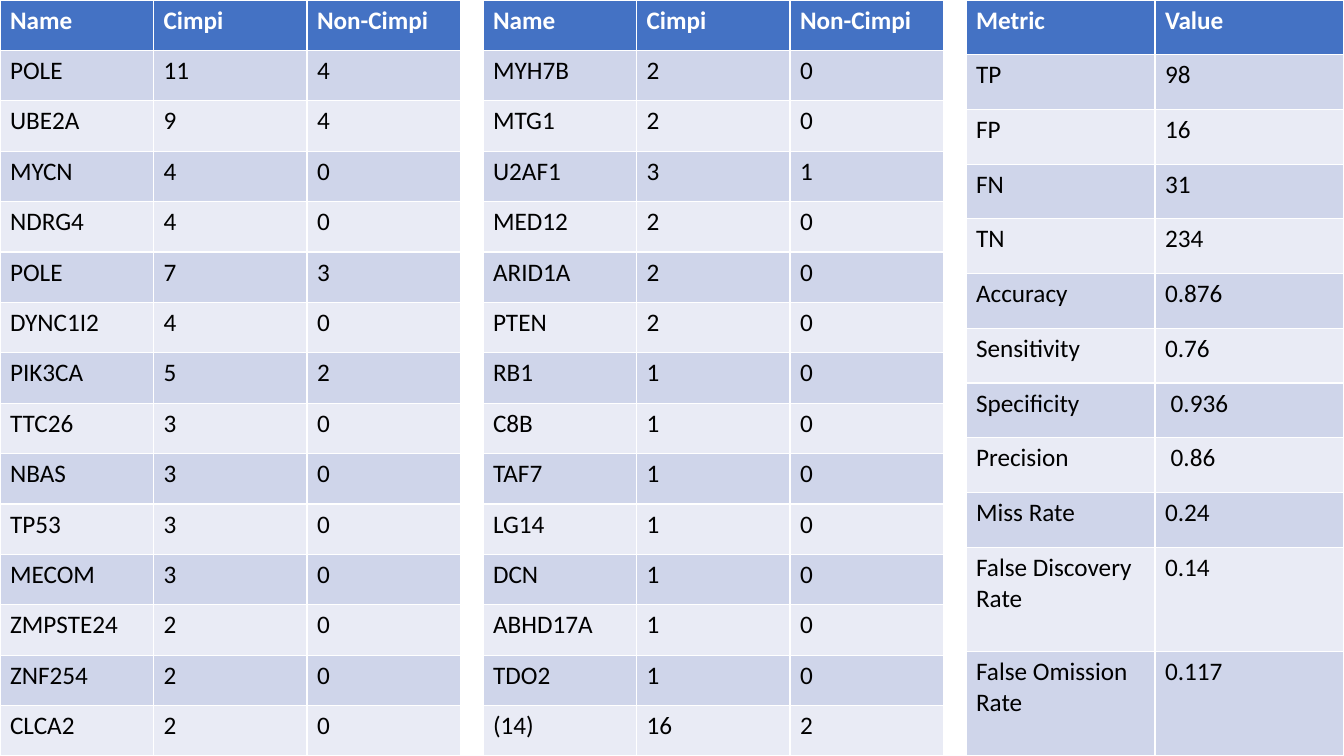
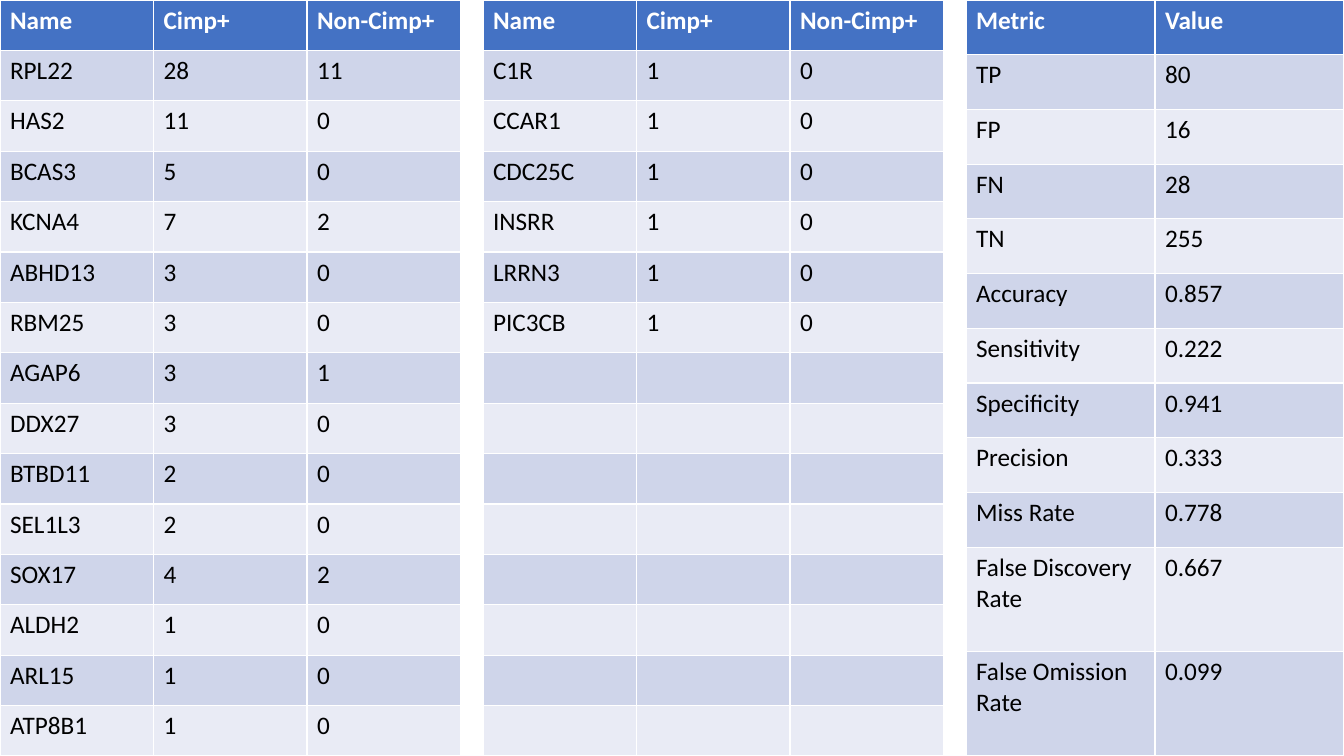
"""Build two slides of gene counts and classifier metrics for Cimpi and Cimp+."""
from pptx import Presentation
from pptx.dml.color import RGBColor
from pptx.util import Pt

COLORS = {"header": "4472C4", "odd": "CFD5EA", "even": "E9EBF5",
          "light": "FFFFFF", "dark": "000000"}
FONT = "Calibri"
SLIDE_W, SLIDE_H = 960, 540
TABLE_STEP = 345
GENE_W, METRIC_W = 329, 270
GENE_ROWS = 14
METRIC_ROW_H, TALL_ROW_H = 39.1, 74.5

METRICS = ["TP", "FP", "FN", "TN", "Accuracy", "Sensitivity", "Specificity",
           "Precision", "Miss Rate", "False Discovery\nRate", "False Omission\nRate"]

SLIDES = [
    {
        "group": "Cimpi",
        "genes": [
            [("POLE", 11, 4), ("UBE2A", 9, 4), ("MYCN", 4, 0), ("NDRG4", 4, 0),
             ("POLE", 7, 3), ("DYNC1I2", 4, 0), ("PIK3CA", 5, 2), ("TTC26", 3, 0),
             ("NBAS", 3, 0), ("TP53", 3, 0), ("MECOM", 3, 0), ("ZMPSTE24", 2, 0),
             ("ZNF254", 2, 0), ("CLCA2", 2, 0)],
            [("MYH7B", 2, 0), ("MTG1", 2, 0), ("U2AF1", 3, 1), ("MED12", 2, 0),
             ("ARID1A", 2, 0), ("PTEN", 2, 0), ("RB1", 1, 0), ("C8B", 1, 0),
             ("TAF7", 1, 0), ("LG14", 1, 0), ("DCN", 1, 0), ("ABHD17A", 1, 0),
             ("TDO2", 1, 0), ("(14)", 16, 2)],
        ],
        "values": ["98", "16", "31", "234", "0.876", "0.76", " 0.936", " 0.86",
                   "0.24", "0.14", "0.117"],
    },
    {
        "group": "Cimp+",
        "genes": [
            [("RPL22", 28, 11), ("HAS2", 11, 0), ("BCAS3", 5, 0), ("KCNA4", 7, 2),
             ("ABHD13", 3, 0), ("RBM25", 3, 0), ("AGAP6", 3, 1), ("DDX27", 3, 0),
             ("BTBD11", 2, 0), ("SEL1L3", 2, 0), ("SOX17", 4, 2), ("ALDH2", 1, 0),
             ("ARL15", 1, 0), ("ATP8B1", 1, 0)],
            [("C1R", 1, 0), ("CCAR1", 1, 0), ("CDC25C", 1, 0), ("INSRR", 1, 0),
             ("LRRN3", 1, 0), ("PIC3CB", 1, 0)],
        ],
        "values": ["80", "16", "28", "255", "0.857", "0.222", "0.941", "0.333",
                   "0.778", "0.667", "0.099"],
    },
]


def write(tf, text, size=18, color="dark", bold=False):
    """Fill a text frame, one paragraph per line of text."""
    tf.text = text
    for p in tf.paragraphs:
        p.font.size = Pt(size)
        for r in p.runs:
            r.font.name = FONT
            r.font.size = Pt(size)
            r.font.bold = bold
            r.font.color.rgb = RGBColor.from_string(COLORS[color])


def add_grid(s, left, width, rows, heights):
    """Add a full-height banded table whose first row is the header."""
    cols = len(rows[0])
    table = s.shapes.add_table(len(rows), cols, Pt(left), Pt(0),
                               Pt(width), Pt(SLIDE_H)).table
    for col in table.columns:
        col.width = Pt(width / cols)
    for i, (values, height) in enumerate(zip(rows, heights)):
        table.rows[i].height = Pt(height)
        band = "header" if i == 0 else "odd" if i % 2 else "even"
        for cell, value in zip(table.rows[i].cells, values):
            cell.fill.solid()
            cell.fill.fore_color.rgb = RGBColor.from_string(COLORS[band])
            write(cell.text_frame, str(value), bold=i == 0,
                  color="light" if i == 0 else "dark")


def main():
    """Build and save the presentation."""
    prs = Presentation()
    prs.slide_width, prs.slide_height = Pt(SLIDE_W), Pt(SLIDE_H)
    gene_heights = [SLIDE_H / (GENE_ROWS + 1)] * (GENE_ROWS + 1)
    metric_heights = [METRIC_ROW_H] * 10 + [TALL_ROW_H] * 2
    for content in SLIDES:
        s = prs.slides.add_slide(prs.slide_layouts[6])
        header = ("Name", content["group"], "Non-" + content["group"])
        for n, genes in enumerate(content["genes"]):
            blanks = [("", "", "")] * (GENE_ROWS - len(genes))
            add_grid(s, n * TABLE_STEP, GENE_W, [header] + genes + blanks, gene_heights)
        metrics = [("Metric", "Value")] + list(zip(METRICS, content["values"]))
        add_grid(s, 2 * TABLE_STEP, METRIC_W, metrics, metric_heights)
    prs.save("out.pptx")


if __name__ == "__main__":
    main()
